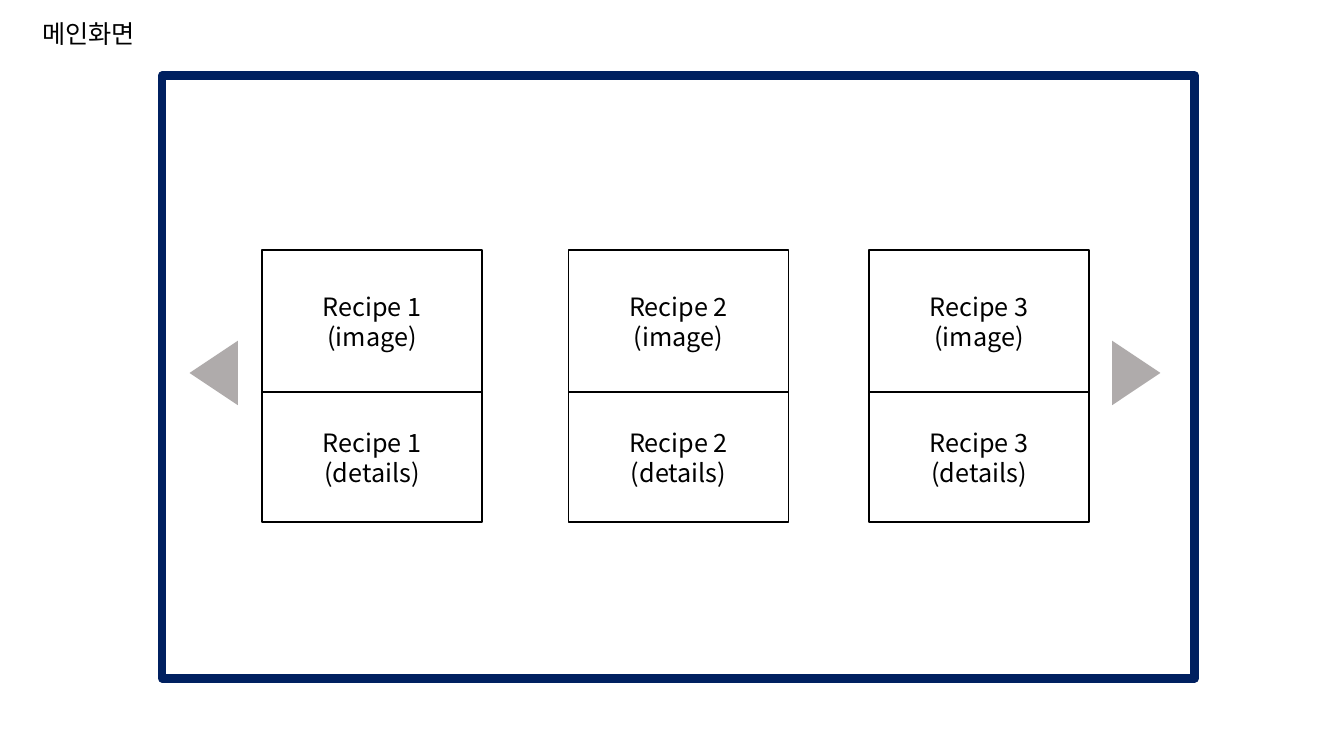
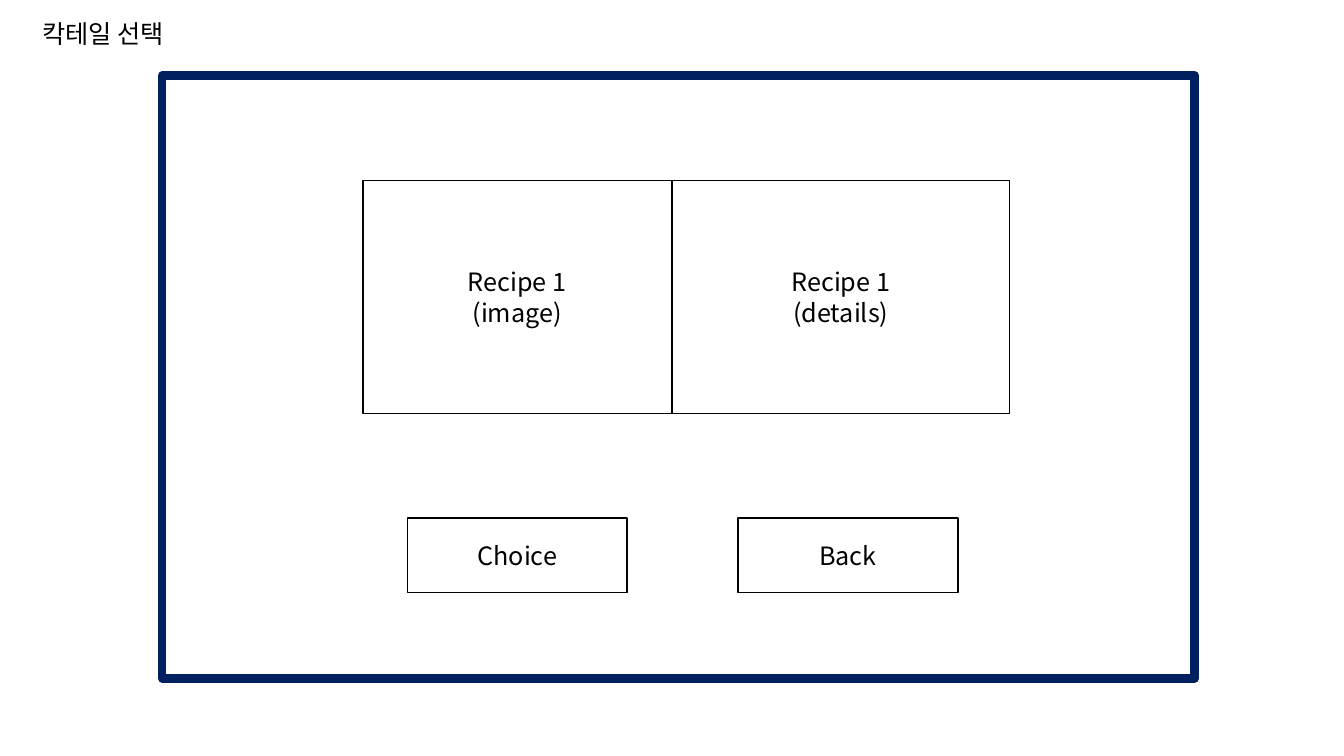
from lxml import etree
from pptx import Presentation
from pptx import util as u
from pptx.dml.color import RGBColor
from pptx.enum import shapes, text
from pptx.oxml.ns import qn

FONT = "Noto Sans CJK KR"
BLACK, WHITE, NAVY, GRAY = "000000", "FFFFFF", "002060", "AFABAB"


def rgb(value):
    return RGBColor.from_string(value)


class Deck:
    def __init__(self):
        self.prs = Presentation()
        self.prs.slide_width = u.Inches(13.33)
        self.prs.slide_height = u.Inches(7.5)
        self.s = None

    def screen(self, title):
        self.s = self.prs.slides.add_slide(self.prs.slide_layouts[5])
        sp = self.s.shapes.title
        sp.left, sp.top = u.Inches(0.32), u.Inches(0.13)
        sp.width, sp.height = u.Inches(1.55), u.Inches(0.4)
        self.label(sp, title, text.PP_ALIGN.LEFT, text.MSO_ANCHOR.TOP)
        self.shape(1.61, 0.75, 10.24, 5.98, fill=WHITE, line=NAVY, weight=6)

    def label(self, sp, words, align, anchor):
        tf = sp.text_frame
        tf.text = words
        tf.word_wrap = True
        tf.auto_size = text.MSO_AUTO_SIZE.NONE
        tf.vertical_anchor = anchor
        for p in tf.paragraphs:
            p.alignment = align
            for r in p.runs:
                r.font.size = u.Pt(18)
                r.font.color.rgb = rgb(BLACK)
                r.font.name = FONT
                ea = etree.SubElement(r._r.get_or_add_rPr(), qn("a:ea"))
                ea.set("typeface", FONT)

    def shape(self, x, y, w, h, kind=shapes.MSO_SHAPE.RECTANGLE,
              fill=None, line=None, weight=1):
        sp = self.s.shapes.add_shape(
            kind, u.Inches(x), u.Inches(y), u.Inches(w), u.Inches(h))
        sp.shadow.inherit = False
        if fill:
            sp.fill.solid()
            sp.fill.fore_color.rgb = rgb(fill)
        else:
            sp.fill.background()
        if line:
            sp.line.color.rgb = rgb(line)
            sp.line.width = u.Pt(weight)
        else:
            sp.line.fill.background()
        return sp

    def box(self, x, y, w, h, words):
        sp = self.shape(x, y, w, h, line=BLACK)
        self.label(sp, words, text.PP_ALIGN.CENTER, text.MSO_ANCHOR.MIDDLE)

    def arrow(self, x, rotation):
        sp = self.shape(x, 3.46, 0.64, 0.48,
                        shapes.MSO_SHAPE.ISOSCELES_TRIANGLE, fill=GRAY)
        sp.rotation = rotation


deck = Deck()

deck.screen("메인화면")
deck.arrow(1.8, 270)
for number, x in enumerate((2.6, 5.64, 8.62), 1):
    deck.box(x, 2.48, 2.18, 1.41, f"Recipe {number}\n(image)")
    deck.box(x, 3.89, 2.18, 1.29, f"Recipe {number}\n(details)")
deck.arrow(10.95, 90)

deck.screen("칵테일 선택")
deck.box(3.6, 1.79, 3.06, 2.31, "Recipe 1\n(image)")
deck.box(6.67, 1.79, 3.34, 2.31, "Recipe 1\n(details)")
for x, caption in ((4.04, "Choice"), (7.32, "Back")):
    deck.box(x, 5.14, 2.18, 0.74, caption)

deck.prs.save("out.pptx")
